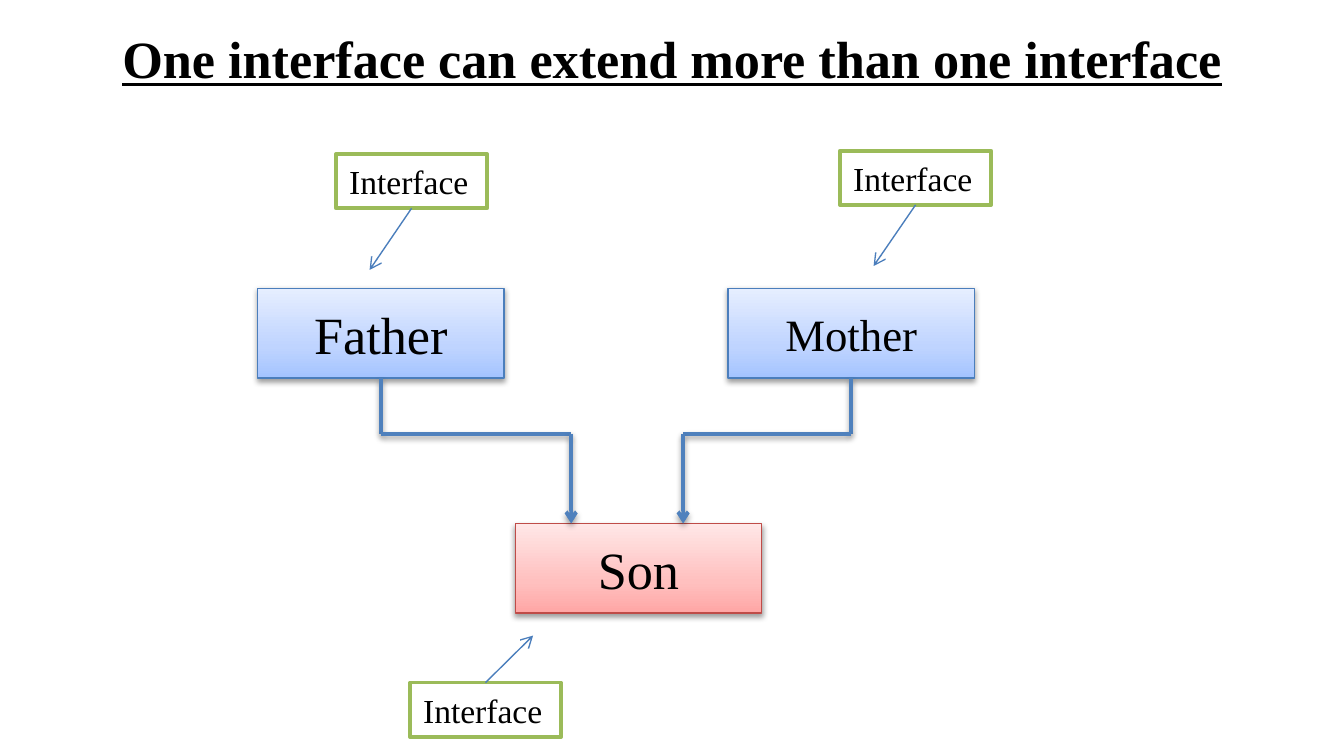
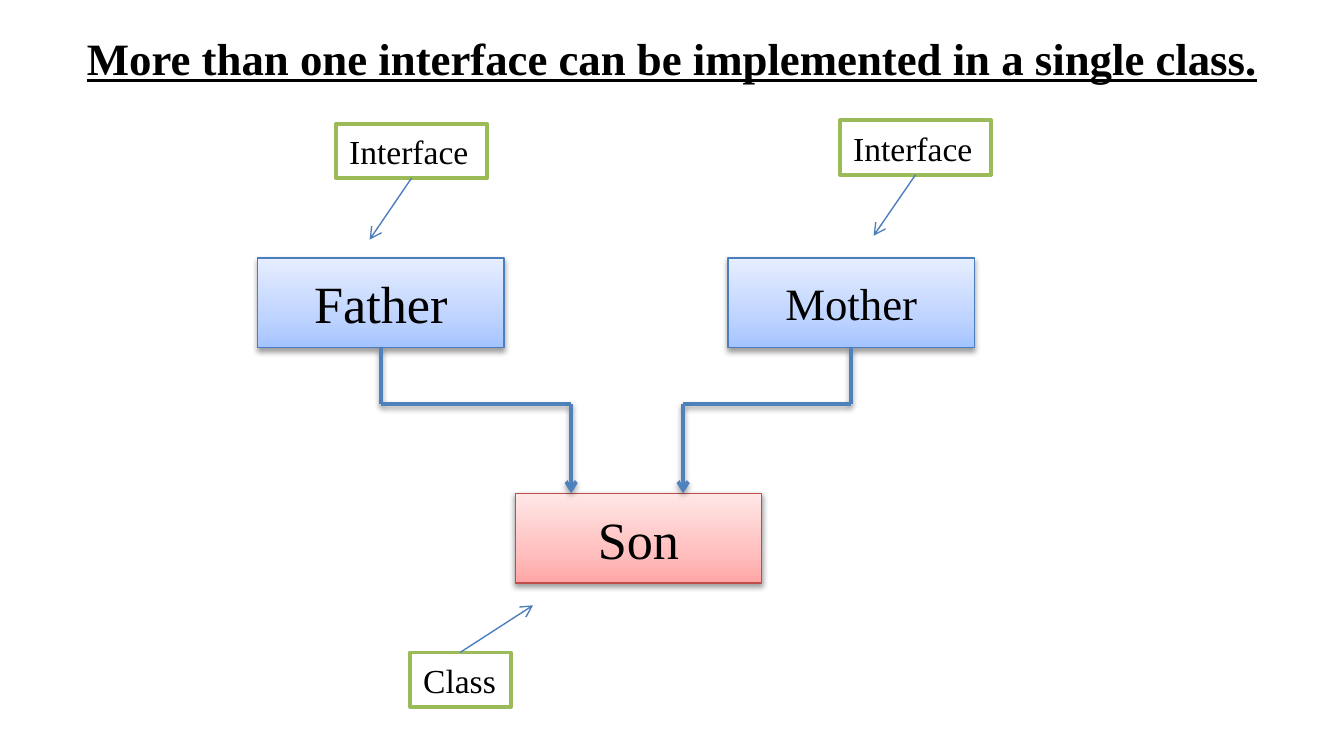
from copy import deepcopy
from dataclasses import dataclass

from lxml.etree import SubElement
from pptx import Presentation
from pptx.dml.color import RGBColor
from pptx.enum.shapes import MSO_CONNECTOR, MSO_SHAPE
from pptx.enum.text import MSO_ANCHOR, MSO_AUTO_SIZE, PP_ALIGN
from pptx.oxml.ns import qn
from pptx.util import Inches, Pt


@dataclass(frozen=True)
class Theme:
    font: str = "Times New Roman"
    text: str = "000000"
    paper: str = "FFFFFF"
    label_line: str = "9BBB59"
    link: str = "4F81BD"
    pointer: str = "4B7EBC"
    parent_line: str = "4B7EBC"
    child_line: str = "BF4C48"
    parent_gradient: tuple = ("A4C4FF", "BFD4FF", "E6EEFF")
    child_gradient: tuple = ("FFA6A5", "FFC0BF", "FFE7E7")
    gradient_positions: tuple = (0, 0.35, 1)
    large: int = 28
    medium: int = 24
    small: int = 18
    thick: float = 2
    thin: float = 0.75


theme = Theme()
color = RGBColor.from_string

# The grid has 12 columns and 12 rows to the inch
UNIT = Inches(1) / 12
BOX_WIDTH, BOX_HEIGHT = 22, 8
LABEL_HEIGHT = 4.85
LINK_ROW, CHILD_ROW = 13, 21

# Name, size, column, row below the diagram top, gradient, outline
boxes = [
    ("Father", theme.large, 23, 0, theme.parent_gradient, theme.parent_line),
    ("Mother", theme.medium, 65, 0, theme.parent_gradient, theme.parent_line),
    ("Son", theme.large, 46, CHILD_ROW, theme.child_gradient, theme.child_line),
]
# Column where each parent's link starts, and where it meets the child
links = [(34, 51), (76, 61)]

# Title, size, diagram top row, label of the child, width of that label
slides = [
    ("One interface can extend more than one interface",
     theme.large, 25.75, "Interface", 13.5),
    ("More than one interface can be implemented in a single class.",
     theme.medium, 23.05, "Class", 9),
]


def write(shape, text, size, align=PP_ALIGN.CENTER, bold=False):
    frame = shape.text_frame
    frame.vertical_anchor = MSO_ANCHOR.MIDDLE
    paragraph = frame.paragraphs[0]
    paragraph.alignment = align
    run = paragraph.add_run()
    run.text = text
    run.font.name = theme.font
    run.font.size = Pt(size)
    run.font.bold = run.font.underline = bold
    run.font.color.rgb = color(theme.text)


def draw_line(slide, start, end, line_color, width, arrow=False):
    ends = [round(value * UNIT) for value in (*start, *end)]
    connector = slide.shapes.add_connector(MSO_CONNECTOR.STRAIGHT, *ends)
    connector.line.color.rgb = color(line_color)
    connector.line.width = Pt(width)
    properties = connector._element.spPr
    if arrow:
        SubElement(properties.find(qn("a:ln")), qn("a:tailEnd"), type="arrow")
    return SubElement(properties, qn("a:effectLst"))


presentation = Presentation()
presentation.slide_width = Inches(10)
presentation.slide_height = Inches(5.625)

for title, title_size, top, child_label, child_label_width in slides:
    slide = presentation.slides.add_slide(presentation.slide_layouts[6])
    effect_lists = []

    # Title
    heading = slide.shapes.add_textbox(Inches(0.5), Inches(-0.04), Inches(9), Inches(0.94))
    heading.text_frame.word_wrap = True
    write(heading, title, title_size, bold=True)

    # Family boxes
    for name, size, column, row, gradient, outline in boxes:
        box = slide.shapes.add_shape(
            MSO_SHAPE.RECTANGLE, round(column * UNIT), round((top + row) * UNIT),
            round(BOX_WIDTH * UNIT), round(BOX_HEIGHT * UNIT))
        box.fill.gradient()
        box.fill.gradient_angle = 90
        stop_list = box._element.spPr.find(qn("a:gradFill")).find(qn("a:gsLst"))
        stop_list.append(deepcopy(stop_list[0]))
        for stop, shade, position in zip(
                box.fill.gradient_stops, gradient, theme.gradient_positions):
            stop.color.rgb = color(shade)
            stop.position = position
        box.line.color.rgb = color(outline)
        box.line.width = Pt(theme.thin)
        box.shadow.inherit = False
        effect_lists.append(box._element.spPr.find(qn("a:effectLst")))
        write(box, name, size)

    # Links from the parents to the child
    for parent_column, child_column in links:
        corners = [(parent_column, top + BOX_HEIGHT), (parent_column, top + LINK_ROW),
                   (child_column, top + LINK_ROW), (child_column, top + CHILD_ROW)]
        for start, end in zip(corners, corners[1:]):
            effect_lists.append(draw_line(
                slide, start, end, theme.link, theme.thick, arrow=end == corners[-1]))

    # Soft shadow under boxes and links
    for effects in effect_lists:
        shadow = SubElement(effects, qn("a:outerShdw"), blurRad=str(Pt(3.1)),
                            dist=str(Pt(1.6)), dir="5400000", rotWithShape="0")
        shade = SubElement(shadow, qn("a:srgbClr"), val="000000")
        SubElement(shade, qn("a:alpha"), val="38000")

    # Labels: text, column, row, width, pointer start row, pointer end
    labels = [
        ("Interface", 75, -12.3, 13.5, LABEL_HEIGHT, (78, -2)),
        ("Interface", 30, -12, 13.5, LABEL_HEIGHT, (33, -1.65)),
        (child_label, 36.6, 35.2, child_label_width, 0, (47.6, 31)),
    ]
    for text, column, row, width, pointer_row, target in labels:
        label = slide.shapes.add_textbox(
            round(column * UNIT), round((top + row) * UNIT),
            round(width * UNIT), round(LABEL_HEIGHT * UNIT))
        label.fill.solid()
        label.fill.fore_color.rgb = color(theme.paper)
        label.line.color.rgb = color(theme.label_line)
        label.line.width = Pt(theme.thick)
        label.text_frame.word_wrap = False
        label.text_frame.auto_size = MSO_AUTO_SIZE.SHAPE_TO_FIT_TEXT
        write(label, text, theme.small, PP_ALIGN.LEFT)
        draw_line(slide, (column + width / 2, top + row + pointer_row),
                  (target[0], top + target[1]), theme.pointer, theme.thin, arrow=True)

presentation.save("out.pptx")
